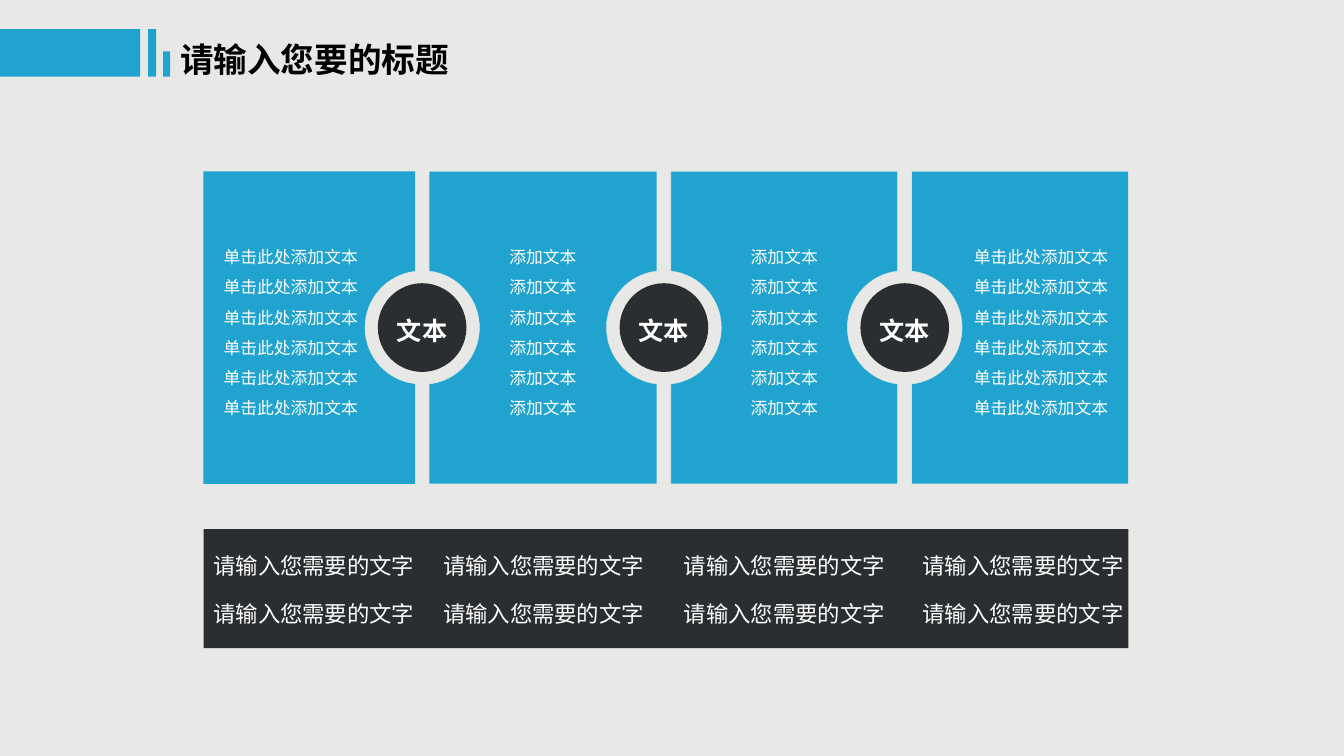
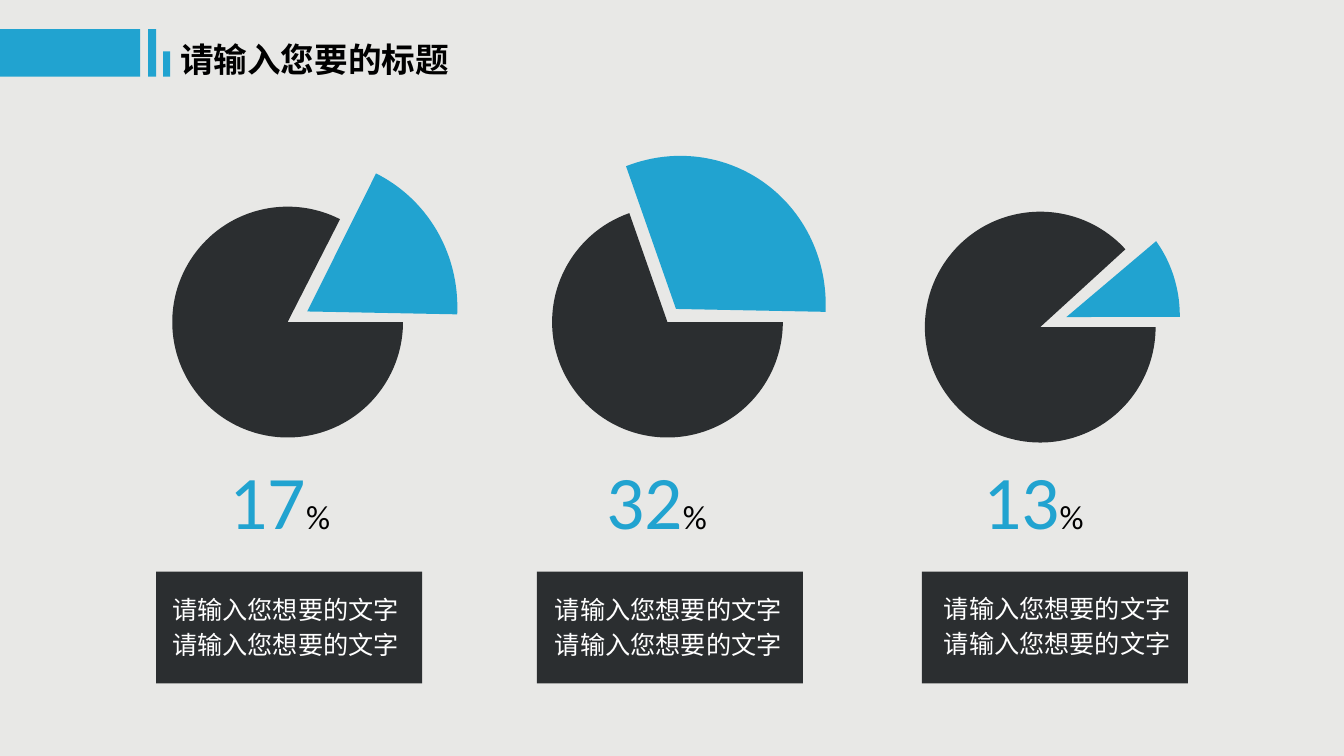
from lxml.etree import SubElement
from pptx import Presentation
from pptx.dml.color import RGBColor
from pptx.enum.shapes import MSO_SHAPE as Shape
from pptx.enum.text import MSO_ANCHOR as Anchor, PP_ALIGN as Align
from pptx.oxml.ns import qn
from pptx.util import Inches, Pt

# Shared style
BLUE, DARK, BACKGROUND = "21A3D0", "2B2E30", "E8E8E6"
WHITE, BLACK, CARD_EDGE = "FFFFFF", "000000", "EAEAEA"
CHINESE_FONT, NUMBER_FONT = "Noto Sans CJK SC", "Calibri"
TITLE = "请输入您要的标题"
HEADER_BARS = [(0, 0.29, 1.39, 0.47), (1.47, 0.29, 0.08, 0.47), (1.62, 0.51, 0.07, 0.25)]

# Slide 1: cards joined by round badges
LONG_LINE, SHORT_LINE = "单击此处添加文本", "添加文本"
CARD_TOP, CARD_BOTTOM = 1.7, 4.8
BADGE_SIZE = 0.88
BADGE_TEXT = "文本"
# Notch in a card edge, two curves: distance into the card, height from its middle
NOTCH = [(0, -0.56), (0.28, -0.53), (0.5, -0.29), (0.5, 0), (0.5, 0.29), (0.28, 0.53), (0, 0.56)]
# left, right, paragraphs, alignment, left and right inset
CARDS = [
    (2.02, 4.12, [LONG_LINE * 4, LONG_LINE * 2], Align.LEFT, 0.2, 0.49),
    (4.26, 6.52, [SHORT_LINE] * 6, Align.CENTER, 0.49, 0.49),
    (6.66, 8.91, [SHORT_LINE] * 6, Align.CENTER, 0.49, 0.49),
    (9.05, 11.2, [LONG_LINE] * 6, Align.RIGHT, 0.59, 0.2),
]
SUMMARY_TEXT = "请输入您需要的文字"
SUMMARY_COLUMNS, SUMMARY_ROWS = [2.02, 4.3, 6.69, 9.06], [5.43, 5.9]

# Slide 2: pies, each with a pulled-out slice; angles run clockwise from east
CAPTION, CAPTION_STEP = "请输入您想要的文字", 0.34
PIES = [
    dict(number="17", number_left=2.18, panel_left=1.55, caption_at=(1.61, 5.85),
         rest=(1.71, 2.05, 2.29, 2.29), rest_end=297,
         slice=(1.52, 1.61, 3.06, 2.96), slice_angles=(0, 64.6), rotation=296.5),
    dict(number="32", number_left=5.92, panel_left=5.33, caption_at=(5.41, 5.85),
         rest=(5.48, 2.05, 2.29, 2.29), rest_end=250.7,
         slice=(5.18, 1.59, 3.06, 2.95), slice_angles=(314.2, 64.6), rotation=296.5),
    dict(number="13", number_left=9.66, panel_left=9.15, caption_at=(9.27, 5.84),
         rest=(9.18, 2.1, 2.29, 2.29), rest_end=317.6,
         slice=(9.37, 2.02, 2.43, 2.25), slice_angles=(45.9, 86), rotation=273.9),
]


def color(value):
    return RGBColor.from_string(value)


def paint(shape, fill, line=None):
    shape.shadow.inherit = False
    shape.fill.solid()
    shape.fill.fore_color.rgb = color(fill)
    if line:
        shape.line.color.rgb = color(line)
        shape.line.width = Pt(0.25)
    else:
        shape.line.fill.background()


def add_shape(slide, kind, box, fill):
    shape = slide.shapes.add_shape(kind, *map(Inches, box))
    paint(shape, fill)
    return shape


def format_run(run, size, text_color, bold=False, name=CHINESE_FONT):
    run.font.size = Pt(size)
    run.font.bold = bold
    run.font.color.rgb = color(text_color)
    run.font.name = name
    SubElement(run.font._element, qn("a:ea")).set("typeface", name)


def write(shape, lines, size, text_color, bold=False, align=Align.LEFT,
          spacing=1.0, insets=(0.1, 0.05, 0.1, 0.05), anchor=Anchor.TOP):
    frame = shape.text_frame
    frame.word_wrap = True
    frame.vertical_anchor = anchor
    (frame.margin_left, frame.margin_top,
     frame.margin_right, frame.margin_bottom) = map(Inches, insets)
    frame.text = "\n".join(lines)
    for paragraph in frame.paragraphs:
        paragraph.alignment = align
        paragraph.line_spacing = spacing
        for run in paragraph.runs:
            format_run(run, size, text_color, bold)


def add_text(slide, box, text, size, text_color, bold=False):
    textbox = slide.shapes.add_textbox(*map(Inches, box))
    write(textbox, [text], size, text_color, bold)


def add_header(slide):
    for bar in HEADER_BARS:
        add_shape(slide, Shape.RECTANGLE, bar, BLUE)
    add_text(slide, (1.69, 0.34, 3.01, 0.5), TITLE, 24, BLACK, bold=True)


def add_slide(presentation):
    return presentation.slides.add_slide(presentation.slide_layouts[6])


def curve_segments(shape, starts):
    """Turn each run of three line segments, from the given indexes, into one curve."""
    segments = list(shape._element.iter(qn("a:lnTo")))
    for start in starts:
        first, *others = segments[start:start + 3]
        first.tag = qn("a:cubicBezTo")
        for segment in others:
            first.append(segment[0])
            segment.getparent().remove(segment)


def add_card(slide, left, right, notch_left, notch_right):
    middle = (CARD_TOP + CARD_BOTTOM) / 2
    points, curves = [(left, CARD_TOP), (right, CARD_TOP)], []
    if notch_right:
        curves += [len(points), len(points) + 3]
        points += [(right - depth, middle + height) for depth, height in NOTCH]
    points += [(right, CARD_BOTTOM), (left, CARD_BOTTOM)]
    if notch_left:
        curves += [len(points), len(points) + 3]
        points += [(left + depth, middle - height) for depth, height in NOTCH]
    outline = [(Inches(x), Inches(y)) for x, y in points]
    builder = slide.shapes.build_freeform(*outline[0])
    builder.add_line_segments(outline[1:], close=True)
    card = builder.convert_to_shape()
    curve_segments(card, curves)
    paint(card, BLUE, CARD_EDGE if notch_left else None)
    return card


def build_cards(slide):
    last = len(CARDS) - 1
    for index, (left, right, lines, align, inset_left, inset_right) in enumerate(CARDS):
        card = add_card(slide, left, right, index > 0, index < last)
        write(card, lines, 12, WHITE, align=align, spacing=1.5, anchor=Anchor.MIDDLE,
              insets=(inset_left, 0.05, inset_right, 0.05))

    # Badges sit in the middle of the gaps
    badge_top = (CARD_TOP + CARD_BOTTOM - BADGE_SIZE) / 2
    for card, following in zip(CARDS, CARDS[1:]):
        badge_left = (card[1] + following[0] - BADGE_SIZE) / 2
        badge = add_shape(slide, Shape.OVAL,
                          (badge_left, badge_top, BADGE_SIZE, BADGE_SIZE), DARK)
        write(badge, [BADGE_TEXT], 18, WHITE, bold=True, align=Align.CENTER,
              spacing=1.2, insets=(0, 0, 0, 0), anchor=Anchor.MIDDLE)
    add_header(slide)

    # Summary panel
    add_shape(slide, Shape.RECTANGLE, (2.02, 5.25, 9.18, 1.18), DARK)
    for top in SUMMARY_ROWS:
        for left in SUMMARY_COLUMNS:
            add_text(slide, (left, top, 3.7, 0.37), SUMMARY_TEXT, 16, WHITE)


def add_pie(slide, box, fill, angles, rotation=0):
    pie = add_shape(slide, Shape.PIE, box, fill)
    for index, angle in enumerate(angles):
        pie.adjustments[index] = angle * 0.6  # 60000 units a degree, scaled by 100000
    pie.rotation = rotation


def build_pies(slide):
    add_header(slide)
    for pie in PIES:
        add_pie(slide, pie["rest"], DARK, (0, pie["rest_end"]))
        add_pie(slide, pie["slice"], BLUE, pie["slice_angles"], pie["rotation"])

        # Percentage
        textbox = slide.shapes.add_textbox(
            *map(Inches, (pie["number_left"], 4.45, 2.2, 1)))
        textbox.text_frame.word_wrap = True
        paragraph = textbox.text_frame.paragraphs[0]
        for text, size, text_color in [(pie["number"], 54, BLUE), ("%", 24, BLACK)]:
            run = paragraph.add_run()
            run.text = text
            format_run(run, size, text_color, name=NUMBER_FONT)

        # Caption panel
        add_shape(slide, Shape.RECTANGLE, (pie["panel_left"], 5.67, 2.64, 1.11), DARK)
        left, top = pie["caption_at"]
        for row in range(2):
            add_text(slide, (left, top + row * CAPTION_STEP, 2.75, 0.4), CAPTION, 18, WHITE)


def main():
    presentation = Presentation()
    presentation.slide_width, presentation.slide_height = Inches(13.34), Inches(7.5)
    background = presentation.slide_master.background.fill
    background.solid()
    background.fore_color.rgb = color(BACKGROUND)
    build_cards(add_slide(presentation))
    build_pies(add_slide(presentation))
    presentation.save("out.pptx")


if __name__ == "__main__":
    main()
